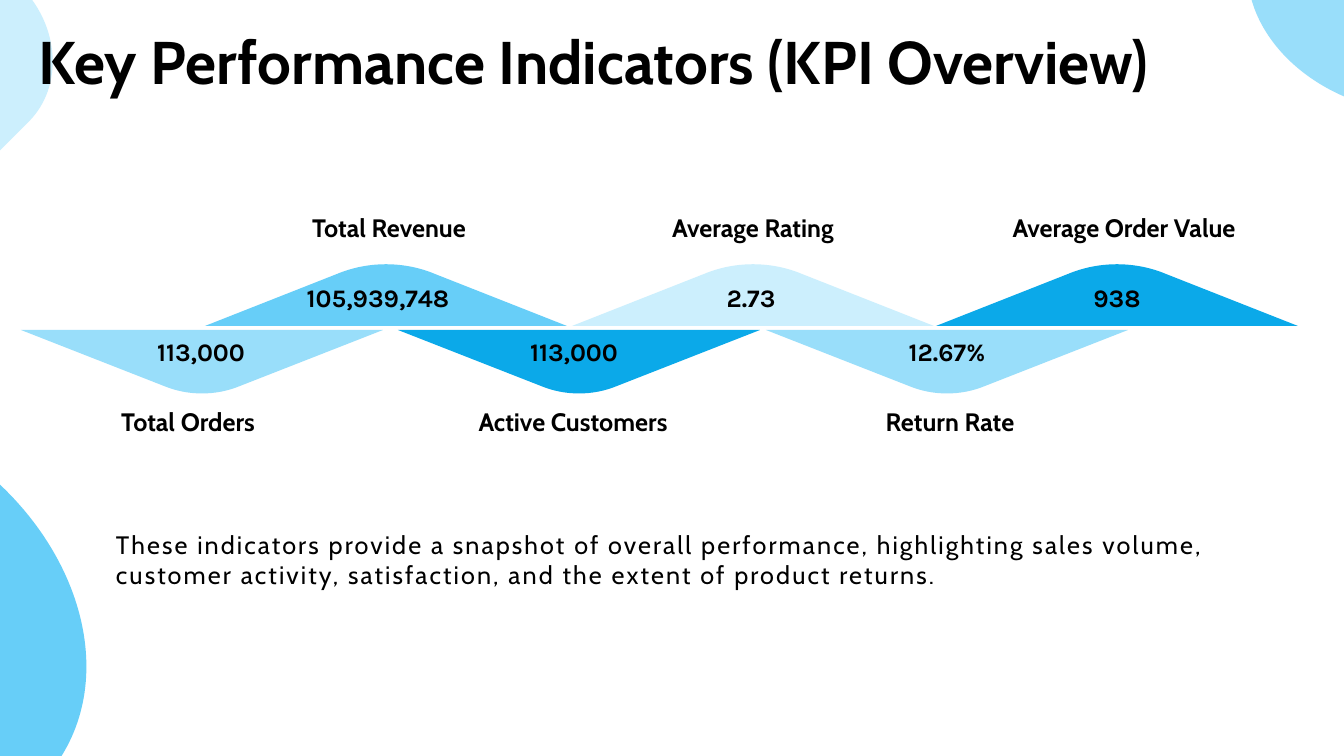
import math

import pptx
import pptx.dml.color
import pptx.enum.shapes
import pptx.enum.text
import pptx.util
from lxml import etree
from pptx.oxml.ns import qn

TITLE = "Key Performance Indicators (KPI Overview)"
BODY = ("These indicators provide a snapshot of overall performance, highlighting "
        "sales volume, customer activity, satisfaction, and the extent of product returns.")

# label, label centre, label width, value, value centre, value width, hill left, colour
UPPER = [
    ("Total Revenue", 389, 176, "105,939,748", 378, 164, 205, "blue"),
    ("Average Rating", 753, 192, "2.73", 751, 103, 572, "pale"),
    ("Average Order Value", 1124, 254, "938", 1117, 103, 936, "deep"),
]
LOWER = [
    ("Total Orders", 188, 155, "113,000", 201, 103, 21, "light"),
    ("Active Customers", 573, 216, "113,000", 574, 103, 398, "deep"),
    ("Return Rate", 950, 150, "12.67%", 947, 103, 766, "light"),
]
# base and direction of the hills, their shoulder and curve handles, text tops
ROWS = [
    dict(items=UPPER, base=326, sign=-1, edge=(132, 52), bend=(163, 65),
         label=210, value=280),
    dict(items=LOWER, base=330, sign=1, edge=(143, 56), bend=(167, 66),
         label=404, value=334),
]
# straight corners, then two handles and the end of the curve
BLOBS = [
    ([(0, 150), (-12, -46), (21, -14)], [(60, 25), (64, 86), (29, 121)], 225, "pale"),
    ([(11, 835), (-144, 385), (-45, 446)], [(74, 524), (122, 663), (60, 757)], 213, "blue"),
    ([(1264, -108), (1445, 123), (1375, 107)], [(1289, 85), (1234, 14), (1250, -53)],
     14, "light"),
]

THEME = {
    "color": dict(pale="CCEFFD", light="99DEFA", blue="67CEF8", deep="0BA9E9",
                  ink="000000", paper="FFFFFF"),
    "font": {
        "title": dict(name="Cabin", size=pptx.util.Pt(86), bold=True),
        "label": dict(name="Cabin", size=pptx.util.Pt(36), bold=True),
        "value": dict(name="Karla", size=pptx.util.Pt(36), bold=True),
        "body": dict(name="Cabin", size=pptx.util.Pt(36), bold=False),
    },
}
WIDTH, HEIGHT = 1344, 756
HILL = 362
UNIT = 914400 / 50.4
STEPS = 24


def px(num):
    return round(num * UNIT)


def color(name):
    return pptx.dml.color.RGBColor.from_string(THEME["color"][name])


def sample(start, one, two, end):
    """Return points along a cubic Bezier curve, without its start."""
    pts = []
    for step in range(1, STEPS + 1):
        t = step / STEPS
        s = 1 - t
        pts.append(tuple(round(s**3 * a + 3 * s * s * t * b + 3 * s * t * t * c + t**3 * d)
                         for a, b, c, d in zip(start, one, two, end)))
    return pts


def turn(pts, mid, angle):
    """Rotate points about mid by an angle in degrees."""
    sin, cos = math.sin(math.radians(angle)), math.cos(math.radians(angle))
    return [(mid[0] + (x - mid[0]) * cos - (y - mid[1]) * sin,
             mid[1] + (x - mid[0]) * sin + (y - mid[1]) * cos) for x, y in pts]


def add_form(slide, line, bend, fill):
    """Draw straight corners and one curve; samples of the curve set the box."""
    line, bend = [[(px(x), px(y)) for x, y in part] for part in (line, bend)]
    arc = sample(line[-1], *bend)
    pen = slide.shapes.build_freeform(*line[0], scale=1.0)
    pen.add_line_segments(line[1:] + arc, close=True)
    form = pen.convert_to_shape()
    left, top = map(min, zip(*line, *arc))

    track = next(form._element.iter(qn("a:path")))
    for seg in track.findall(qn("a:lnTo"))[-STEPS:]:
        track.remove(seg)
    cubic = etree.Element(qn("a:cubicBezTo"))
    for x, y in bend:
        etree.SubElement(cubic, qn("a:pt"), x=str(x - left), y=str(y - top))
    track.find(qn("a:close")).addprevious(cubic)

    form.shadow.inherit = False
    form.fill.solid()
    form.fill.fore_color.rgb = color(fill)
    form.line.fill.background()
    return form


def add_blob(slide, line, bend, angle, fill):
    mid = [sum(pair) / 2 for pair in zip(*line[:2])]
    flat = [turn(part, mid, -angle) for part in (line, bend)]
    add_form(slide, *flat, fill).rotation = angle


def add_hill(slide, row, left, fill):
    def spot(x, y):
        return left + x, row["base"] + row["sign"] * y

    (ex, ey), (bx, by) = row["edge"], row["bend"]
    line = [spot(ex, ey), spot(0, 0), spot(HILL, 0), spot(HILL - ex, ey)]
    add_form(slide, line, [spot(HILL - bx, by), spot(bx, by), line[0]], fill)


def add_text(slide, text, box, style, wrap=False):
    frame = slide.shapes.add_textbox(*map(px, box)).text_frame
    frame.word_wrap = wrap
    size = pptx.enum.text.MSO_AUTO_SIZE
    frame.auto_size = size.NONE if style == "value" else size.SHAPE_TO_FIT_TEXT
    para = frame.paragraphs[0]
    if not wrap:
        para.alignment = pptx.enum.text.PP_ALIGN.CENTER
    run = para.add_run()
    run.text = text
    for key, val in THEME["font"][style].items():
        setattr(run.font, key, val)
    run.font.color.rgb = color("ink")
    return run


def add_rule(slide, start, end):
    kind = pptx.enum.shapes.MSO_CONNECTOR.STRAIGHT
    rule = slide.shapes.add_connector(kind, *map(px, start + end))
    rule.line.color.rgb = color("paper")
    rule.line.width = pptx.util.Pt(1.39)
    etree.SubElement(rule._element.spPr, qn("a:effectLst"))


def main():
    deck = pptx.Presentation()
    deck.slide_width, deck.slide_height = px(WIDTH), px(HEIGHT)
    slide = deck.slides.add_slide(deck.slide_layouts[6])
    for blob in BLOBS:
        add_blob(slide, *blob)
    add_text(slide, TITLE, (34, 22, 1247, 78), "title", wrap=True)
    for row in ROWS:
        for label, mid, wide, value, spot, span, left, fill in row["items"]:
            add_hill(slide, row, left, fill)
            add_text(slide, label, (mid - wide / 2, row["label"], wide, 36), "label")
            add_text(slide, value, (spot - span / 2, row["value"], span, 54), "value")
    add_rule(slide, (20, 328), (1126, 328))
    body = add_text(slide, BODY, (111, 527, 1201, 66), "body", wrap=True)
    body.font._element.set("spc", "300")
    deck.save("out.pptx")


if __name__ == "__main__":
    main()
